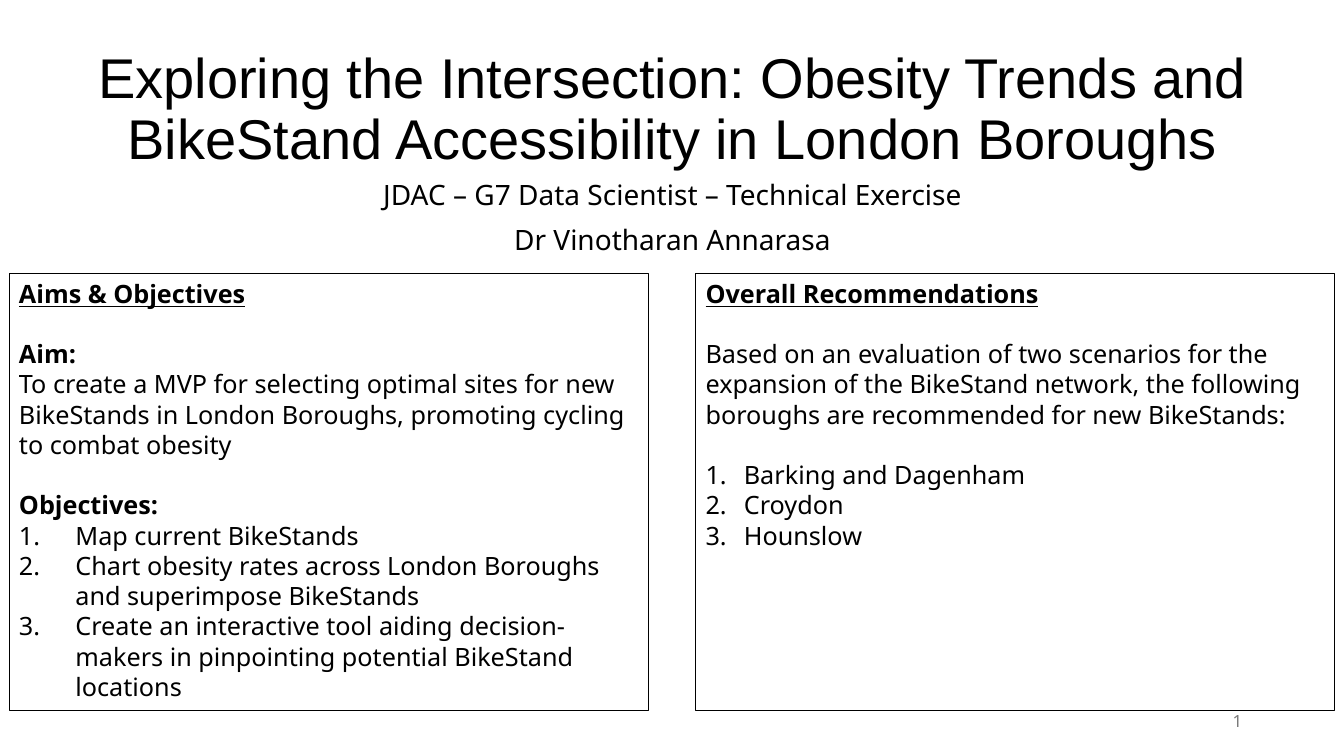
from dataclasses import dataclass

from lxml.etree import SubElement
from pptx import Presentation
from pptx.dml.color import RGBColor
from pptx.enum.shapes import MSO_SHAPE
from pptx.enum.text import MSO_ANCHOR as Anchor, MSO_AUTO_SIZE as Fit, PP_ALIGN as Align
from pptx.oxml.ns import qn
from pptx.util import Inches, Pt

BODY = "Noto Sans"
BLACK, GREY = "000000", "797979"
PITCH = 21.6  # line height of body text, points
TOP, WIDE, HIGH = 2.71, 6.34, 4.34


@dataclass(frozen=True)
class Para:
    text: str
    bold: bool = False
    under: bool = False
    gap: bool = False
    indent: float = 0


@dataclass(frozen=True)
class Panel:
    left: float
    paras: tuple[Para, ...]


def items(indent: float, gap: bool, *texts: str) -> tuple[Para, ...]:
    """Numbered paragraphs; gap sets the first one apart."""
    return tuple(Para(t, indent=indent, gap=gap and i == 0) for i, t in enumerate(texts))


PANELS = (
    Panel(0.09, (
        Para("Aims & Objectives", bold=True, under=True),
        Para("Aim:", bold=True, gap=True),
        Para("To create a MVP for selecting optimal sites for new BikeStands in "
             "London Boroughs, promoting cycling to combat obesity"),
        Para("Objectives:", bold=True, gap=True),
        *items(0.56, False,
               "Map current BikeStands",
               "Chart obesity rates across London Boroughs and superimpose BikeStands",
               "Create an interactive tool aiding decision-makers in pinpointing "
               "potential BikeStand locations"),
    )),
    Panel(6.9, (
        Para("Overall Recommendations", bold=True, under=True),
        Para("Based on an evaluation of two scenarios for the expansion of the BikeStand "
             "network, the following boroughs are recommended for new BikeStands:", gap=True),
        *items(0.38, True, "Barking and Dagenham", "Croydon", "Hounslow"),
    )),
)


def color(code: str) -> RGBColor:
    return RGBColor.from_string(code)


def place(shape, left: float, top: float, width: float, height: float) -> None:
    shape.left, shape.top = Inches(left), Inches(top)
    shape.width, shape.height = Inches(width), Inches(height)


def add_run(para, text: str, size: float, face: str = BODY, code: str = BLACK):
    run = para.add_run()
    run.text = text
    run.font.size, run.font.name = Pt(size), face
    run.font.color.rgb = color(code)
    return run


def set_frame(shape, anchor: Anchor = Anchor.TOP):
    frame = shape.text_frame
    frame.word_wrap, frame.auto_size = True, Fit.NONE
    frame.vertical_anchor = anchor
    return frame


def next_para(frame, index: int):
    return frame.add_paragraph() if index else frame.paragraphs[0]


def add_title(slide) -> None:
    title = slide.shapes.title
    place(title, 0.48, 0.31, 12.37, 1.44)
    para = set_frame(title, Anchor.BOTTOM).paragraphs[0]
    para.alignment, para.line_spacing = Align.CENTER, 0.9
    add_run(para, "Exploring the Intersection: Obesity Trends and "
                  "BikeStand Accessibility in London Boroughs", 40, "Arial")


def add_byline(slide) -> None:
    box = slide.shapes.add_textbox(Inches(1.67), Inches(1.75), Inches(10), Inches(0.96))
    frame = set_frame(box)
    lines = ("JDAC – G7 Data Scientist – Technical Exercise", "Dr Vinotharan Annarasa")
    for i, text in enumerate(lines):
        para = next_para(frame, i)
        para.alignment, para.line_spacing = Align.CENTER, Pt(PITCH)
        para.space_before = Pt(10 if i else 0)
        add_run(para, text, 20)


def number(para, indent: float) -> None:
    """Turn on automatic numbering with a hanging indent."""
    props = para._p.get_or_add_pPr()
    props.set("marL", str(Inches(indent)))
    props.set("indent", str(-Inches(indent)))
    SubElement(props, qn("a:buFont"), typeface=BODY)
    SubElement(props, qn("a:buAutoNum"), type="arabicPeriod")


def add_panel(slide, panel: Panel) -> None:
    box = slide.shapes.add_shape(MSO_SHAPE.RECTANGLE, Inches(panel.left), Inches(TOP),
                                 Inches(WIDE), Inches(HIGH))
    box.shadow.inherit = False
    box.fill.background()
    box.line.color.rgb, box.line.width = color(BLACK), Pt(0.75)
    frame = set_frame(box)
    for i, item in enumerate(panel.paras):
        para = next_para(frame, i)
        para.alignment, para.line_spacing = Align.LEFT, Pt(PITCH)
        para.space_before = Pt(PITCH if item.gap else 0)
        if item.indent:
            number(para, item.indent)
        run = add_run(para, item.text, 18)
        run.font.bold, run.font.underline = item.bold, item.under


def add_page(slide) -> None:
    """Add the slide number as a live field."""
    box = slide.shapes.add_textbox(Inches(9.42), Inches(6.95), Inches(3), Inches(0.4))
    para = set_frame(box, Anchor.MIDDLE).paragraphs[0]
    para.alignment = Align.RIGHT
    run = add_run(para, "1", 12, code=GREY)._r
    field = SubElement(para._p, qn("a:fld"), type="slidenum",
                       id="{B6F15528-21DE-4FAA-801E-634DDDAF4B2B}")
    field.extend(list(run))
    para._p.remove(run)


def main() -> None:
    deck = Presentation()
    deck.slide_width, deck.slide_height = Inches(13.33), Inches(7.5)
    slide = deck.slides.add_slide(deck.slide_layouts.get_by_name("Title Only"))
    add_title(slide)
    add_byline(slide)
    for panel in PANELS:
        add_panel(slide, panel)
    add_page(slide)
    deck.save("out.pptx")


if __name__ == "__main__":
    main()
